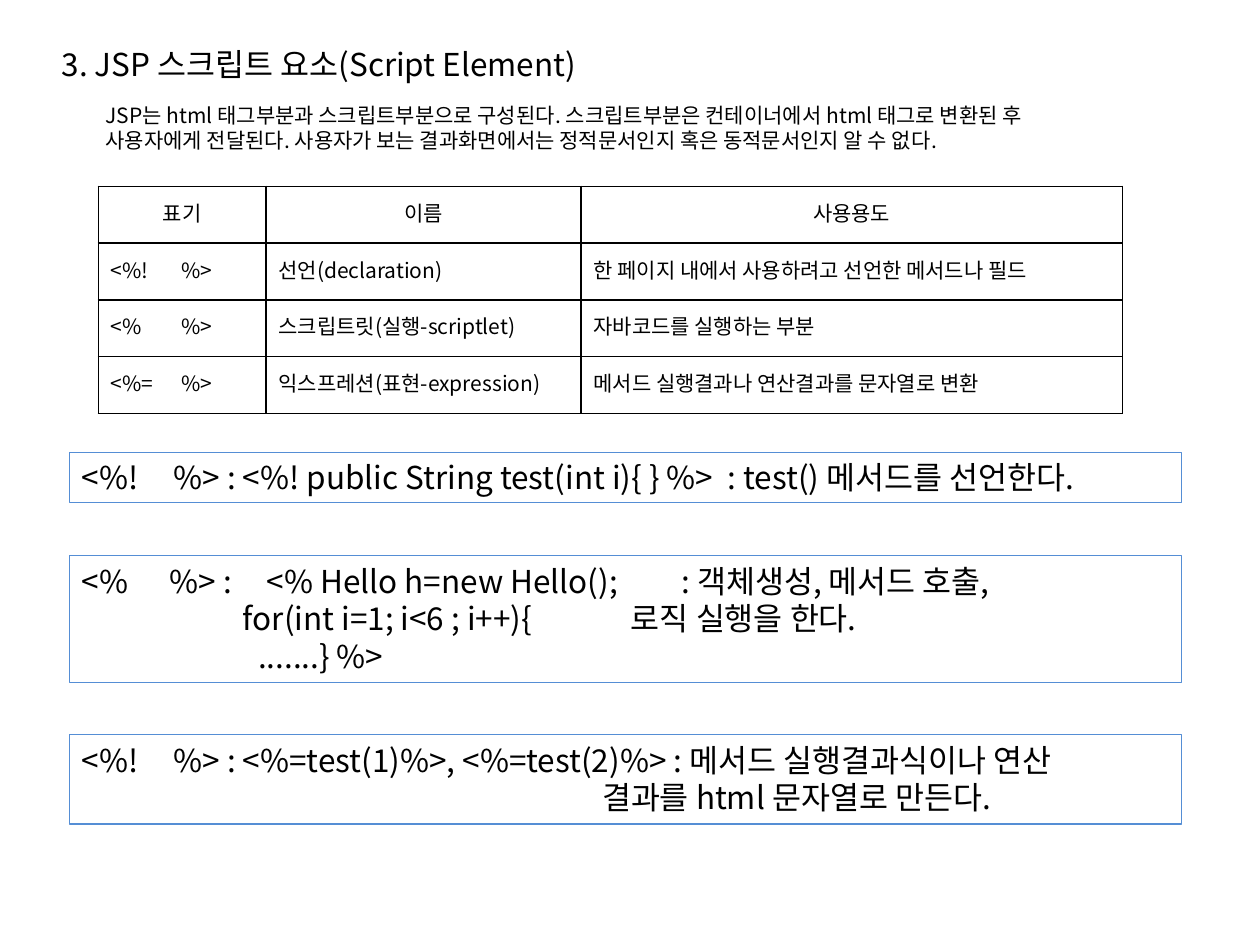
"""Build the slide on JSP script elements with python-pptx."""
from lxml import etree
from pptx import Presentation
from pptx.dml.color import RGBColor
from pptx.enum.shapes import MSO_SHAPE
from pptx.enum.text import MSO_ANCHOR, MSO_AUTO_SIZE, PP_ALIGN
from pptx.oxml.ns import qn
from pptx.util import Inches, Pt

RECTANGLE = MSO_SHAPE.RECTANGLE
TOP, MIDDLE = MSO_ANCHOR.TOP, MSO_ANCHOR.MIDDLE
NO_RESIZE = MSO_AUTO_SIZE.NONE
LEFT, CENTER = PP_ALIGN.LEFT, PP_ALIGN.CENTER

THEME = {
    "font": "Noto Sans CJK KR",
    "text": RGBColor(0, 0, 0),
    "outline": RGBColor(0x55, 0x8E, 0xD5),
    "border": "000000",
    "large": 18,
    "small": 12,
    "line_height": {18: 21.5, 12: 14.5},
}

TITLE = "3. JSP 스크립트 요소(Script Element)"
INTRODUCTION = [
    "JSP는 html 태그부분과 스크립트부분으로 구성된다. 스크립트부분은 컨테이너에서 html 태그로 변환된 후",
    "사용자에게 전달된다. 사용자가 보는 결과화면에서는 정적문서인지 혹은 동적문서인지 알 수 없다.",
]
COLUMN_WIDTHS = [1.33, 2.5, 4.3]
ROW_HEIGHT = 0.45
CELL_TABS = [0.56]
TABLE_ROWS = [
    ("표기", "이름", "사용용도"),
    ("<%!\t%>", "선언(declaration)", "한 페이지 내에서 사용하려고 선언한 메서드나 필드"),
    ("<%\t%>", "스크립트릿(실행-scriptlet)", "자바코드를 실행하는 부분"),
    ("<%=\t%>", "익스프레션(표현-expression)", "메서드 실행결과나 연산결과를 문자열로 변환"),
]
EXAMPLES = [
    {"top": 3.59, "height": 0.4, "lines": [
        ("<%!\t%> : <%! public String test(int i){ } %>  : test() 메서드를 선언한다.", [0.73]),
    ]},
    {"top": 4.41, "height": 1.01, "lines": [
        ("<%\t%> :\t<% Hello h=new Hello();\t: 객체생성, 메서드 호출,", [0.7, 1.47, 4.76]),
        ("\tfor(int i=1; i<6 ; i++){\t로직 실행을 한다.", [1.28, 4.36]),
        ("\t.......} %>", [1.4]),
    ]},
    {"top": 5.83, "height": 0.71, "lines": [
        ("<%!\t%> : <%=test(1)%>, <%=test(2)%> : 메서드 실행결과식이나 연산", [0.73]),
        ("\t결과를 html 문자열로 만든다.", [4.13]),
    ]},
]


def box(left, top, width, height):
    return [Inches(value) for value in (left, top, width, height)]


def write_lines(frame, lines, size, anchor=TOP, alignment=LEFT):
    frame.word_wrap = True
    frame.vertical_anchor = anchor
    for index, (text, tabs) in enumerate(lines):
        paragraph = frame.add_paragraph() if index else frame.paragraphs[0]
        paragraph.alignment = alignment
        paragraph.line_spacing = Pt(THEME["line_height"][size])
        if tabs:
            tab_list = etree.SubElement(paragraph._p.get_or_add_pPr(), qn("a:tabLst"))
            for position in tabs:
                etree.SubElement(tab_list, qn("a:tab"), pos=str(Inches(position)), algn="l")
        run = paragraph.add_run()
        run.text = text
        run.font.size = Pt(size)
        run.font.name = THEME["font"]
        run.font.color.rgb = THEME["text"]
        etree.SubElement(run._r.get_or_add_rPr(), qn("a:ea"), typeface=THEME["font"])


def add_borders(cell):
    properties = cell._tc.get_or_add_tcPr()
    for index, side in enumerate(("a:lnL", "a:lnR", "a:lnT", "a:lnB")):
        line = etree.Element(qn(side), w=str(Pt(1)))
        fill = etree.SubElement(line, qn("a:solidFill"))
        etree.SubElement(fill, qn("a:srgbClr"), val=THEME["border"])
        properties.insert(index, line)


def add_title(slide):
    title = slide.shapes.title
    title.left, title.top, title.width, title.height = box(0.39, 0.31, 4.51, 0.4)
    title.text_frame.auto_size = NO_RESIZE
    write_lines(title.text_frame, [(TITLE, [])], THEME["large"])


def add_introduction(slide):
    text_box = slide.shapes.add_textbox(*box(0.74, 0.76, 8.23, 0.5))
    write_lines(text_box.text_frame, [(line, []) for line in INTRODUCTION], THEME["small"])


def add_notation_table(slide):
    area = box(0.78, 1.48, sum(COLUMN_WIDTHS), ROW_HEIGHT * len(TABLE_ROWS))
    table = slide.shapes.add_table(len(TABLE_ROWS), len(COLUMN_WIDTHS), *area).table
    table.first_row = table.horz_banding = False
    for column, width in zip(table.columns, COLUMN_WIDTHS):
        column.width = Inches(width)
    for row_index, texts in enumerate(TABLE_ROWS):
        table.rows[row_index].height = Inches(ROW_HEIGHT)
        for column_index, text in enumerate(texts):
            cell = table.cell(row_index, column_index)
            cell.fill.background()
            cell.vertical_anchor = MIDDLE
            add_borders(cell)
            tabs = CELL_TABS if "\t" in text else []
            alignment = LEFT if row_index else CENTER
            write_lines(cell.text_frame, [(text, tabs)], THEME["small"], MIDDLE, alignment)


def add_example(slide, example):
    shape = slide.shapes.add_shape(RECTANGLE, *box(0.55, example["top"], 8.83, example["height"]))
    shape.shadow.inherit = False
    shape.fill.background()
    shape.line.color.rgb = THEME["outline"]
    shape.line.width = Pt(0.75)
    write_lines(shape.text_frame, example["lines"], THEME["large"])


def main():
    presentation = Presentation()
    presentation.slide_width, presentation.slide_height = Inches(10), Inches(7.5)
    slide = presentation.slides.add_slide(presentation.slide_layouts[5])
    add_title(slide)
    add_introduction(slide)
    add_notation_table(slide)
    for example in EXAMPLES:
        add_example(slide, example)
    presentation.save("out.pptx")


if __name__ == "__main__":
    main()
